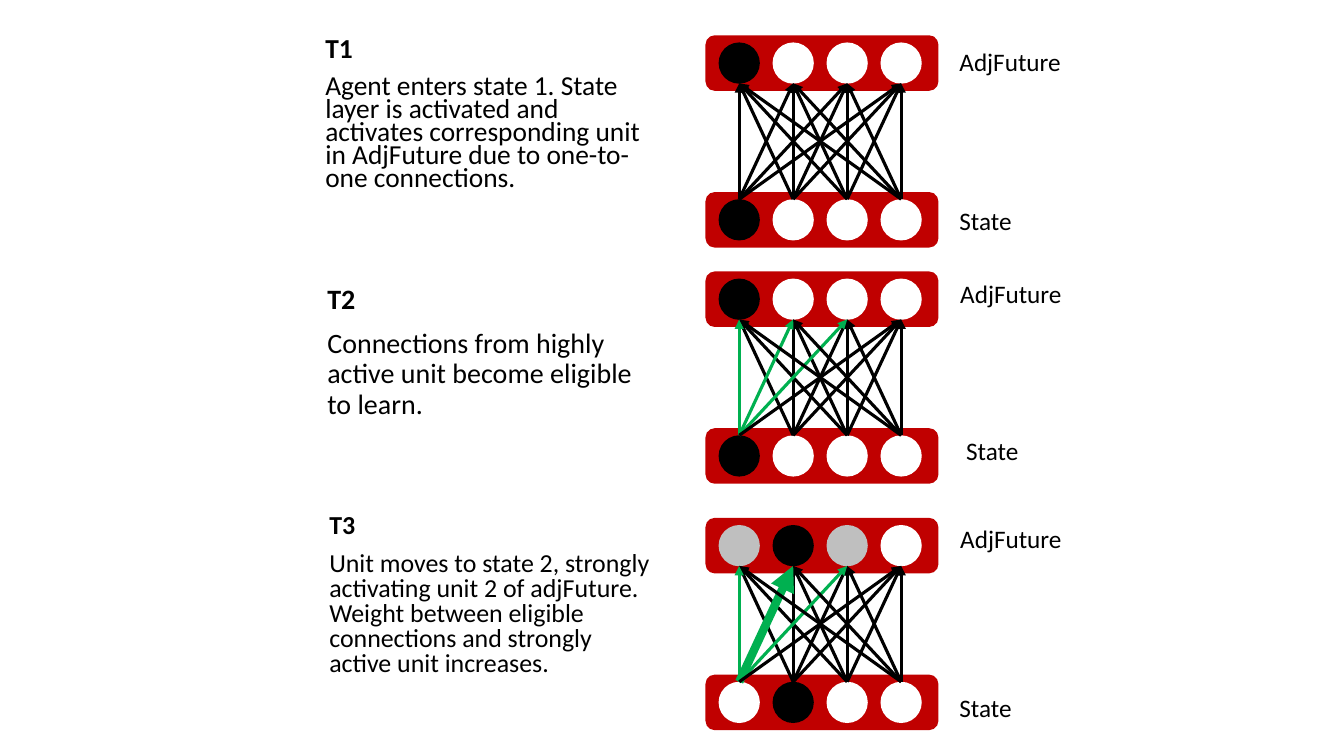
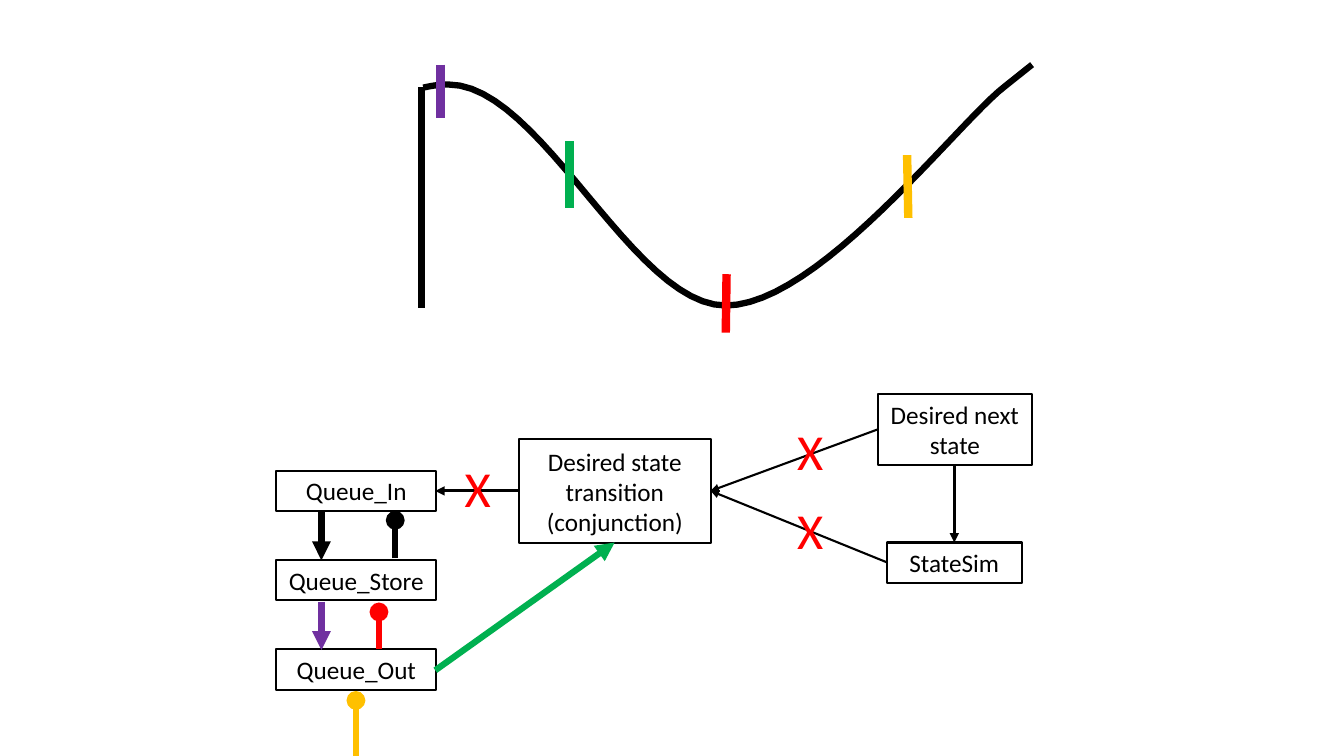
from dataclasses import dataclass

from lxml.etree import SubElement
from pptx import Presentation
from pptx.dml.color import RGBColor as Rgb
from pptx.enum.shapes import MSO_CONNECTOR as Link, MSO_SHAPE as Preset
from pptx.enum.text import MSO_ANCHOR as Anchor, PP_ALIGN as Align
from pptx.oxml.ns import qn
from pptx.util import Cm, Pt


@dataclass(frozen=True)
class Theme:
    font: str = "Calibri"
    black: str = "000000"
    white: str = "FFFFFF"
    grey: str = "BFBFBF"
    crimson: str = "C00000"
    red: str = "FF0000"
    green: str = "00B050"
    purple: str = "7030A0"
    gold: str = "FFC000"
    label: float = 18
    cross: float = 36
    thin: float = 1.5
    arrow: float = 2.25
    heavy: float = 4.5
    thick: float = 6


THEME = Theme()
BLANK_LAYOUT = 6

UNIT_COUNT = 4
UNIT_PITCH = 1.36
UNIT_SIZE = 1.04
UNIT_INSET = 0.33
LAYER_LEFT = 17.78
LAYER_SIZE = (5.87, 1.4)
STATE_OFFSET = 3.95
SOURCE_ORDER = (1, 2, 0, 3)


@dataclass(frozen=True)
class Step:
    title: str
    text: str
    text_at: tuple
    size: float
    spacing: float
    top: float
    future: tuple
    state: tuple
    links: dict
    future_label: tuple
    state_label: tuple


ONE_ACTIVE = (THEME.black, THEME.white, THEME.white, THEME.white)
ELIGIBLE = (THEME.green, THEME.arrow)

STEPS = (
    Step(
        "T1",
        "Agent enters state 1. State layer is activated and activates "
        "corresponding unit in AdjFuture due to one-to-one connections.",
        (7.95, 0.89), 19.6, 0.7, 0.89, ONE_ACTIVE, ONE_ACTIVE, {},
        (23.93, 1.04), (23.93, 5.05),
    ),
    Step(
        "T2",
        "Connections from highly active unit become eligible to learn.",
        (8, 7.06), 20, 0.9, 6.84, ONE_ACTIVE, ONE_ACTIVE,
        {(0, 0): ELIGIBLE, (0, 1): ELIGIBLE, (0, 2): ELIGIBLE},
        (23.95, 6.88), (24.1, 10.85),
    ),
    Step(
        "T3",
        "Unit moves to state 2, strongly activating unit 2 of adjFuture. "
        "Weight between eligible connections and strongly active unit increases.",
        (8.05, 12.83), 18.5, 0.8, 13.05,
        (THEME.grey, THEME.black, THEME.grey, THEME.white),
        (THEME.white, THEME.black, THEME.white, THEME.white),
        {(0, 0): ELIGIBLE, (0, 1): (THEME.green, THEME.thick), (0, 2): ELIGIBLE},
        (23.95, 13.06), (23.93, 17.32),
    ),
)


def apply_format(target, values):
    for name, value in values.items():
        setattr(target, name, value)


def write(frame, lines, size, color=THEME.black, bold_first=False, **layout):
    frame.word_wrap = True
    for index, line in enumerate(lines):
        para = frame.add_paragraph() if index else frame.paragraphs[0]
        apply_format(para, layout)
        if index:
            para.space_before = Pt(10)
        span = para.add_run()
        span.text = line
        apply_format(span.font, {
            "name": THEME.font,
            "size": Pt(size),
            "bold": bold_first and index == 0,
        })
        span.font.color.rgb = Rgb.from_string(color)


def add_text(page, at, extent, lines, size, **values):
    box = page.shapes.add_textbox(*map(Cm, at + extent))
    write(box.text_frame, lines, size, **values)


def add_filled(shapes, preset, at, extent, color):
    shape = shapes.add_shape(preset, *map(Cm, at + extent))
    shape.shadow.inherit = False
    shape.fill.solid()
    shape.fill.fore_color.rgb = Rgb.from_string(color)
    shape.line.fill.background()


def set_line(shape, color, width):
    shape.line.color.rgb = Rgb.from_string(color)
    shape.line.width = Pt(width)


def add_line(shapes, start, end, color, width, head=None):
    line = shapes.add_connector(Link.STRAIGHT, *map(Cm, start + end))
    set_line(line, color, width)
    properties = line._element.spPr
    if head:
        SubElement(properties.find(qn("a:ln")), qn("a:tailEnd"), type=head)
    SubElement(properties, qn("a:effectLst"))


def add_box(page, text, at, extent):
    box = page.shapes.add_shape(Preset.RECTANGLE, *map(Cm, at + extent))
    box.shadow.inherit = False
    box.fill.background()
    set_line(box, THEME.black, THEME.thin)
    box.text_frame.vertical_anchor = Anchor.MIDDLE
    write(box.text_frame, [text], THEME.label, alignment=Align.CENTER)


def add_layer(shapes, top, colors):
    add_filled(shapes, Preset.ROUNDED_RECTANGLE, (LAYER_LEFT, top), LAYER_SIZE,
               THEME.crimson)
    unit_top = top + (LAYER_SIZE[1] - UNIT_SIZE) / 2
    for index, color in enumerate(colors):
        left = LAYER_LEFT + UNIT_INSET + index * UNIT_PITCH
        add_filled(shapes, Preset.OVAL, (left, unit_top), (UNIT_SIZE, UNIT_SIZE), color)


def unit_center(index):
    return LAYER_LEFT + UNIT_INSET + UNIT_SIZE / 2 + index * UNIT_PITCH


def add_network(page, step):
    shapes = page.shapes.add_group_shape().shapes
    add_layer(shapes, step.top, step.future)
    add_layer(shapes, step.top + STATE_OFFSET, step.state)
    for source in SOURCE_ORDER:
        for target in range(UNIT_COUNT):
            color, width = step.links.get((source, target), (THEME.black, THEME.arrow))
            add_line(shapes, (unit_center(source), step.top + 4.13),
                     (unit_center(target), step.top + 1.21), color, width, "triangle")


def bezier(start, first, second, end, count=24):
    for index in range(1, count + 1):
        t = index / count
        u = 1 - t
        yield tuple(
            Cm(u ** 3 * a + 3 * u * u * t * b + 3 * u * t * t * c + t ** 3 * d)
            for a, b, c, d in zip(start, first, second, end)
        )


def add_wave(page):
    start, crest, trough, rise, tip = (
        (10.67, 2.21), (11.3, 2.13), (18.29, 7.7), (25.32, 2.18), (26.01, 1.63))
    points = [
        *bezier(start, (10.88, 2.16), (11.09, 2.13), crest),
        *bezier(crest, (13.64, 2.13), (15.95, 7.7), trough),
        *bezier(trough, (20.62, 7.7), (24.13, 3.1), rise),
        tuple(map(Cm, tip)),
    ]
    builder = page.shapes.build_freeform(*map(Cm, start))
    builder.add_line_segments(points, close=False)
    wave = builder.convert_to_shape()
    wave.shadow.inherit = False
    wave.fill.background()
    set_line(wave, THEME.black, THEME.heavy)
    add_line(page.shapes, (10.62, 2.18), (10.62, 7.75), THEME.black, THEME.heavy)
    for tick_start, tick_end, color in (
        ((11.1, 1.63), (11.1, 2.97), THEME.purple),
        ((14.35, 3.56), (14.35, 5.23), THEME.green),
        ((18.31, 6.91), (18.29, 8.38), THEME.red),
        ((22.86, 3.91), (22.89, 5.49), THEME.gold),
    ):
        add_line(page.shapes, tick_start, tick_end, color, THEME.thick)


def add_flow(page):
    add_box(page, "Desired next state", (22.12, 9.93), (3.89, 1.78))
    add_box(page, "Desired state transition (conjunction)", (13.08, 11.07), (4.83, 2.62))
    add_box(page, "StateSim", (22.35, 13.67), (3.4, 1.02))
    for index, name in enumerate(("Queue_In", "Queue_Store", "Queue_Out")):
        add_box(page, name, (6.96, 11.86 + index * 2.25), (4.04, 1.02))

    for start, end, color, width, head in (
        ((22.12, 10.82), (17.91, 12.37), THEME.black, THEME.thin, "triangle"),
        ((22.35, 14.17), (17.91, 12.37), THEME.black, THEME.thin, "triangle"),
        ((13.08, 12.37), (10.97, 12.37), THEME.black, THEME.arrow, "triangle"),
        ((24.05, 11.71), (24.05, 13.67), THEME.black, THEME.arrow, "triangle"),
        ((8.1, 12.88), (8.1, 14.12), THEME.black, THEME.heavy, "triangle"),
        ((8.1, 15.16), (8.1, 16.38), THEME.purple, THEME.heavy, "triangle"),
        ((10.97, 16.89), (15.49, 13.67), THEME.green, THEME.heavy, "triangle"),
        ((9.96, 14.07), (9.96, 13.11), THEME.black, THEME.heavy, "oval"),
        ((9.55, 16.36), (9.55, 15.42), THEME.red, THEME.heavy, "oval"),
        ((8.97, 19.05), (8.97, 17.65), THEME.gold, THEME.heavy, "oval"),
    ):
        add_line(page.shapes, start, end, color, width, head)

    for at in ((19.84, 10.46), (19.84, 12.45), (11.46, 11.4)):
        add_text(page, at, (1.17, 1.8), ["X"], THEME.cross, color=THEME.red)


def build_learning_page(page):
    for step in STEPS:
        add_text(page, step.text_at, (8.79, 4.88), [step.title, step.text], step.size,
                 bold_first=True, line_spacing=step.spacing)
        add_network(page, step)
        add_text(page, step.future_label, (3.66, 1.02), ["AdjFuture"], THEME.label)
        add_text(page, step.state_label, (2.18, 1.02), ["State"], THEME.label)


def build_queue_page(page):
    add_wave(page)
    add_flow(page)


def main():
    deck = Presentation()
    apply_format(deck, {"slide_width": Cm(33.87), "slide_height": Cm(19.05)})
    for build in (build_learning_page, build_queue_page):
        build(deck.slides.add_slide(deck.slide_layouts[BLANK_LAYOUT]))
    deck.save("out.pptx")


if __name__ == "__main__":
    main()
